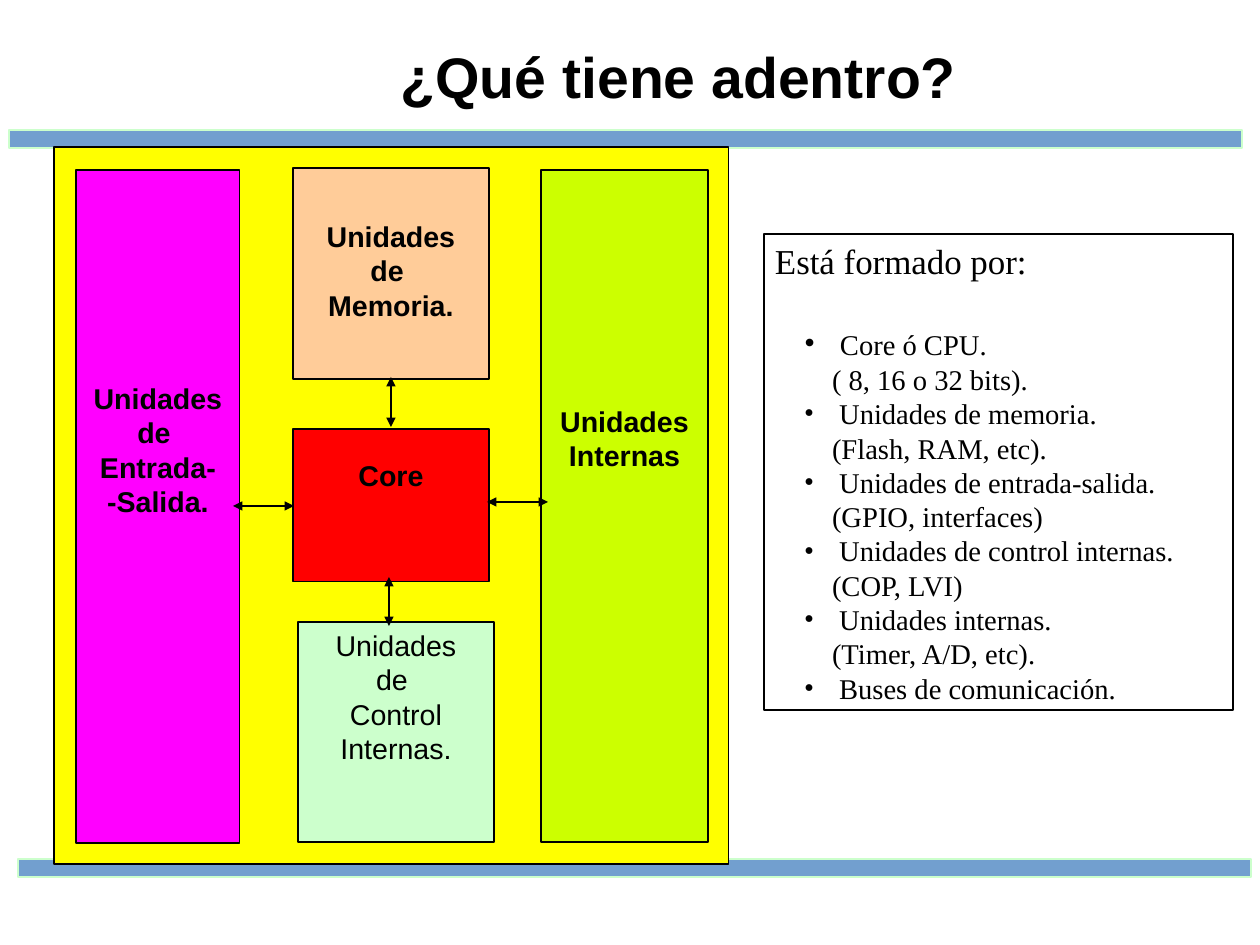
from dataclasses import dataclass

from pptx import Presentation
from pptx.dml.color import RGBColor
from pptx.enum.shapes import MSO_CONNECTOR, MSO_SHAPE
from pptx.enum.text import MSO_ANCHOR, MSO_AUTO_SIZE, PP_ALIGN
from pptx.oxml.ns import qn
from pptx.util import Pt
from lxml.etree import SubElement

EMU_PER_PX = 8000  # 28 by 21 cm is 1260 by 945 px


@dataclass(frozen=True)
class Theme:
    black: str = "000000"
    bar: str = "729FCF"
    pale_green: str = "CCFFCC"
    chip: str = "FFFF00"
    memory: str = "FFCC99"
    internal: str = "CCFF00"
    ports: str = "FF00FF"
    core: str = "FF0000"
    sans: str = "Arial"
    serif: str = "Times New Roman"
    title_size: int = 36
    intro_size: int = 22
    first_bullet_size: int = 20
    text_size: int = 18
    line_width: float = 0.75
    line_height: float = 1.2


THEME = Theme()

# Each unit and the detail shown under it
UNITS = [
    ("Core ó CPU.", "( 8, 16 o 32 bits)."),
    ("Unidades de memoria.", "(Flash, RAM, etc)."),
    ("Unidades de entrada-salida.", "(GPIO, interfaces)"),
    ("Unidades de control internas.", "(COP, LVI)"),
    ("Unidades internas.", "(Timer, A/D, etc)."),
    ("Buses de comunicación.", None),
]

# Lines, place, fill, top inset, bold
BLOCKS = [
    (["Unidades", "de ", "Memoria."], (293, 168, 196, 211), THEME.memory, 51, True),
    (["Unidades", "Internas"], (541, 170, 167, 672), THEME.internal, 234, True),
    (["Unidades", "de ", "Control", "Internas."], (298, 622, 196, 220),
     THEME.pale_green, 6, False),
    (["Unidades", "de ", "Entrada-", "-Salida."], (76, 170, 164, 673),
     THEME.ports, 211, True),
    (["Core"], (293, 429, 196, 153), THEME.core, 29, True),
]

ARROWS = [
    (294, 506, 233, 506),
    (548, 502, 487, 502),
    (391, 427, 391, 377),
    (389, 626, 389, 577),
]


def px(value):
    return value * EMU_PER_PX


def color(value):
    return RGBColor.from_string(value)


def place(shape, box):
    shape.left, shape.top, shape.width, shape.height = map(px, box)


def set_line(line, line_color=THEME.black):
    line.color.rgb = color(line_color)
    line.width = Pt(THEME.line_width)


def prepare_frame(shape, anchor=MSO_ANCHOR.TOP, top=6):
    frame = shape.text_frame
    frame.word_wrap = True
    frame.auto_size = MSO_AUTO_SIZE.NONE
    frame.vertical_anchor = anchor
    frame.margin_left = frame.margin_right = px(11)
    frame.margin_top, frame.margin_bottom = px(top), px(6)
    return frame


def set_bullet(paragraph, bullet, indent, hang):
    properties = paragraph._p.get_or_add_pPr()
    properties.set("marL", str(px(indent)))
    properties.set("indent", str(-px(hang) if bullet else 0))
    if bullet:
        SubElement(properties, qn("a:buFont"), typeface=THEME.serif)
        SubElement(properties, qn("a:buChar"), char="•")
    else:
        SubElement(properties, qn("a:buNone"))


def add_text(frame, text, *, size=THEME.text_size, font=THEME.sans, bold=False,
             align=PP_ALIGN.LEFT, level=0, indent=0, bullet=False,
             bullet_size=THEME.text_size, before=0):
    """Write one paragraph; a bulleted one opens with a space of bullet_size."""
    paragraph = frame.paragraphs[0]
    if paragraph.runs:
        paragraph = frame.add_paragraph()
    set_bullet(paragraph, bullet, indent, hang=28)
    paragraph.level = level
    paragraph.alignment = align
    paragraph.space_before, paragraph.space_after = Pt(before), Pt(0)
    pieces = [(text, size)]
    if bullet:
        pieces.insert(0, (" ", bullet_size))
    paragraph.line_spacing = Pt(max(points for _, points in pieces) * THEME.line_height)
    for words, points in pieces:
        run = paragraph.add_run()
        run.text = words
        run.font.size = Pt(points)
        run.font.name = font
        run.font.bold = bold
        run.font.color.rgb = color(THEME.black)


def add_box(slide, box, fill, *, preset=MSO_SHAPE.RECTANGLE, outline=THEME.black):
    shape = slide.shapes.add_shape(preset, *map(px, box))
    shape.shadow.inherit = False
    shape.fill.solid()
    shape.fill.fore_color.rgb = color(fill)
    set_line(shape.line, outline)
    return shape


def add_block(slide, lines, box, fill, top, bold):
    frame = prepare_frame(add_box(slide, box, fill), top=top)
    for line in lines:
        add_text(frame, line, bold=bold, align=PP_ALIGN.CENTER)


def add_double_arrow(slide, ends):
    connector = slide.shapes.add_connector(MSO_CONNECTOR.STRAIGHT, *map(px, ends))
    set_line(connector.line)
    line = connector.line._get_or_add_ln()
    for end in ("a:headEnd", "a:tailEnd"):
        SubElement(line, qn(end), type="triangle")
    SubElement(connector._element.spPr, qn("a:effectLst"))


def fill_title(title):
    place(title, (123, 26, 1111, 99))
    frame = prepare_frame(title, MSO_ANCHOR.MIDDLE)
    add_text(frame, "¿Qué tiene adentro?", size=THEME.title_size, bold=True,
             align=PP_ALIGN.CENTER)


def fill_unit_list(body):
    place(body, (764, 234, 469, 476))
    set_line(body.line)
    frame = prepare_frame(body)
    add_text(frame, "Está formado por:", size=THEME.intro_size, font=THEME.serif)
    for index, (unit, detail) in enumerate(UNITS):
        first = index == 0
        add_text(frame, unit, font=THEME.serif, level=1, indent=57, bullet=True,
                 bullet_size=THEME.first_bullet_size if first else THEME.text_size,
                 before=THEME.intro_size * THEME.line_height if first else 0)
        if detail:
            add_text(frame, detail, font=THEME.serif, level=1, indent=57)


def main():
    presentation = Presentation()
    presentation.slide_width, presentation.slide_height = px(1260), px(945)
    slide = presentation.slides.add_slide(presentation.slide_layouts[1])

    # Title and list
    fill_title(slide.shapes.title)
    fill_unit_list(slide.placeholders[1])

    # Bars above and below
    for left, top in ((9, 130), (18, 859)):
        add_box(slide, (left, top, 1233, 18), THEME.bar,
                preset=MSO_SHAPE.FLOWCHART_PROCESS, outline=THEME.pale_green)

    # Chip with its units
    add_box(slide, (54, 147, 675, 717), THEME.chip)
    for block in BLOCKS:
        add_block(slide, *block)

    # Links between the core and the units
    for ends in ARROWS:
        add_double_arrow(slide, ends)

    presentation.save("out.pptx")


if __name__ == "__main__":
    main()
